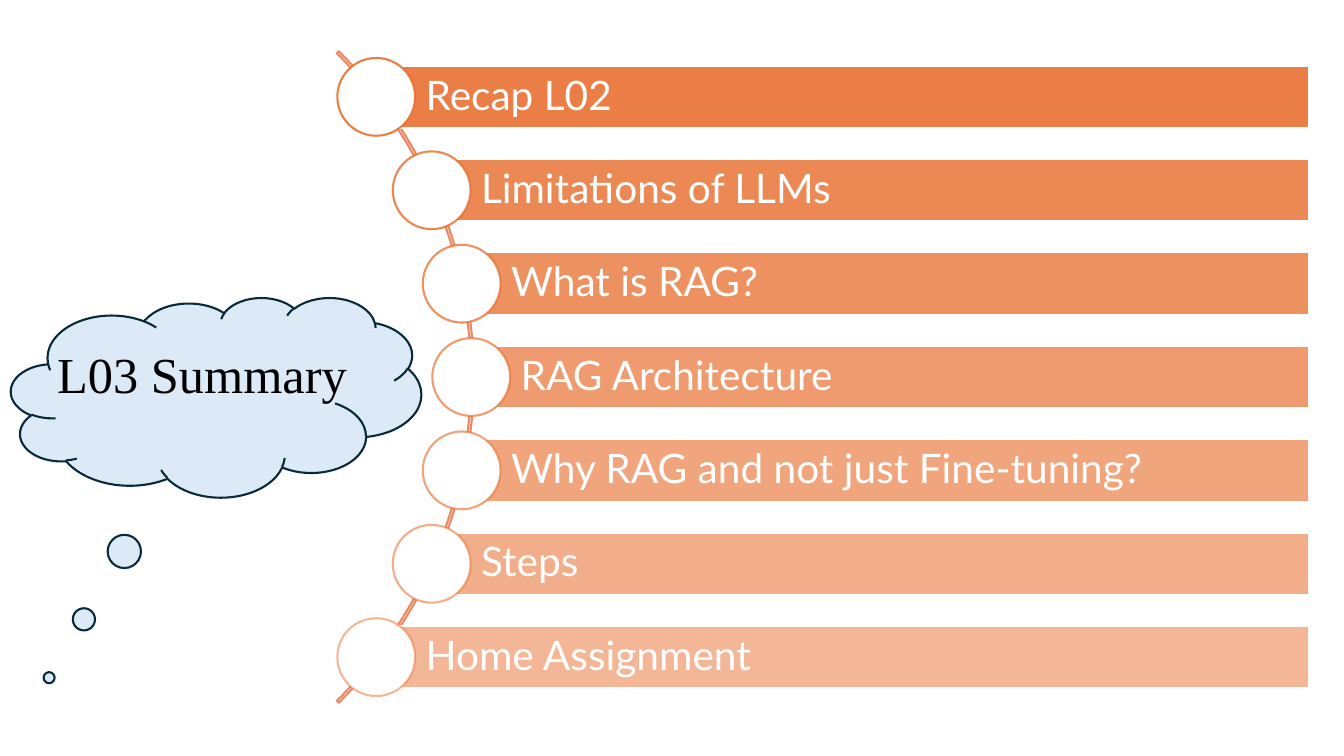
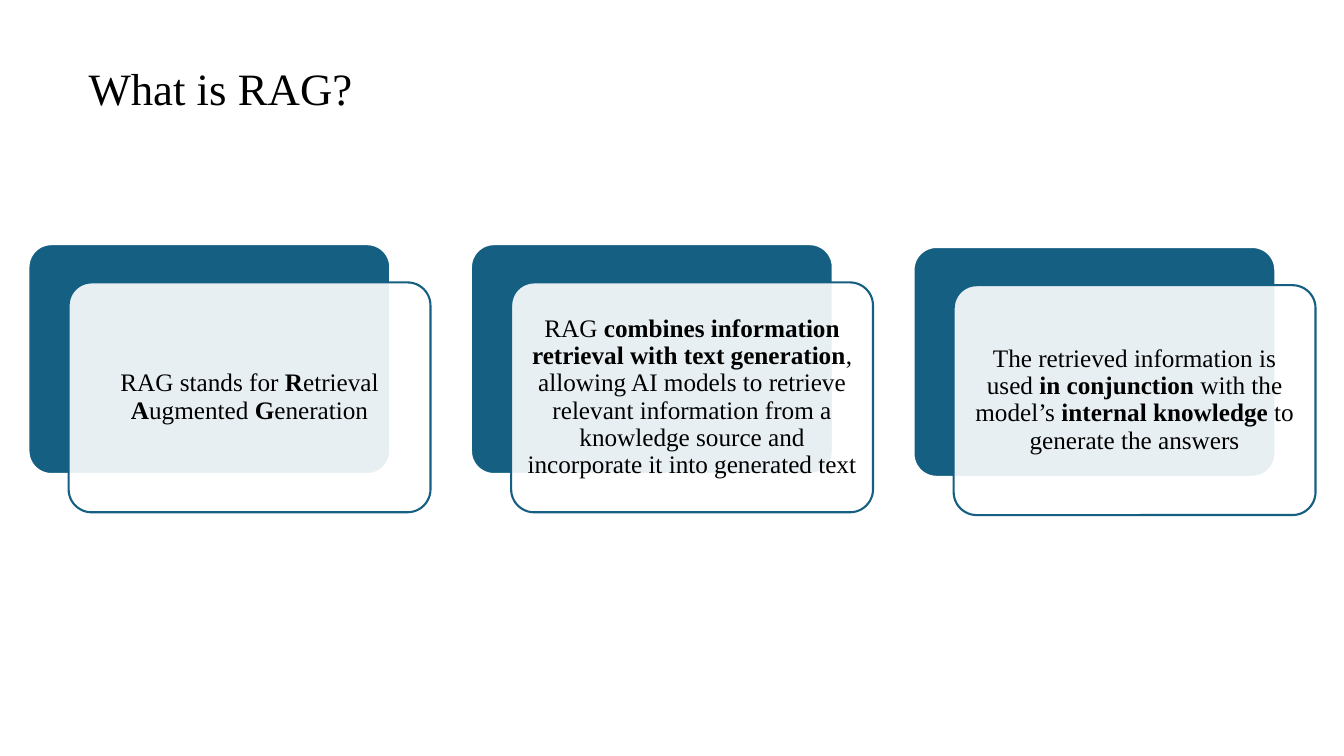
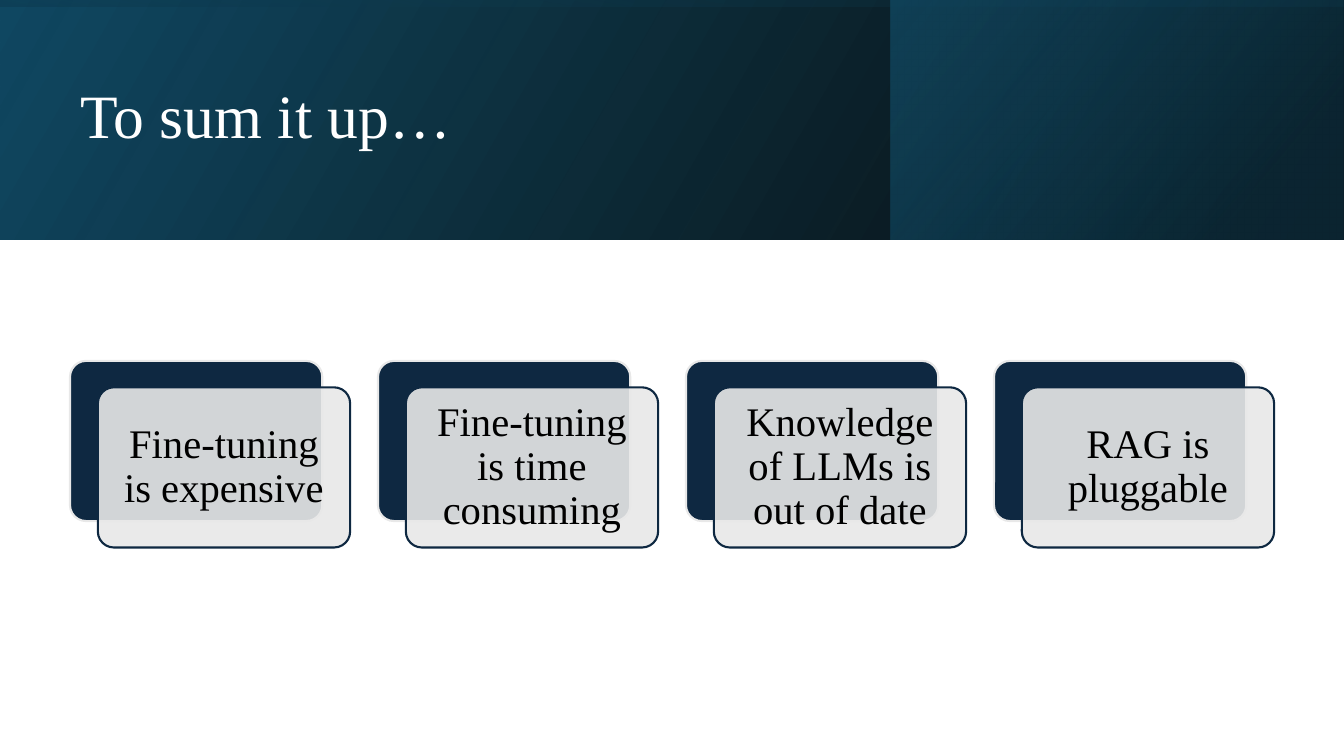
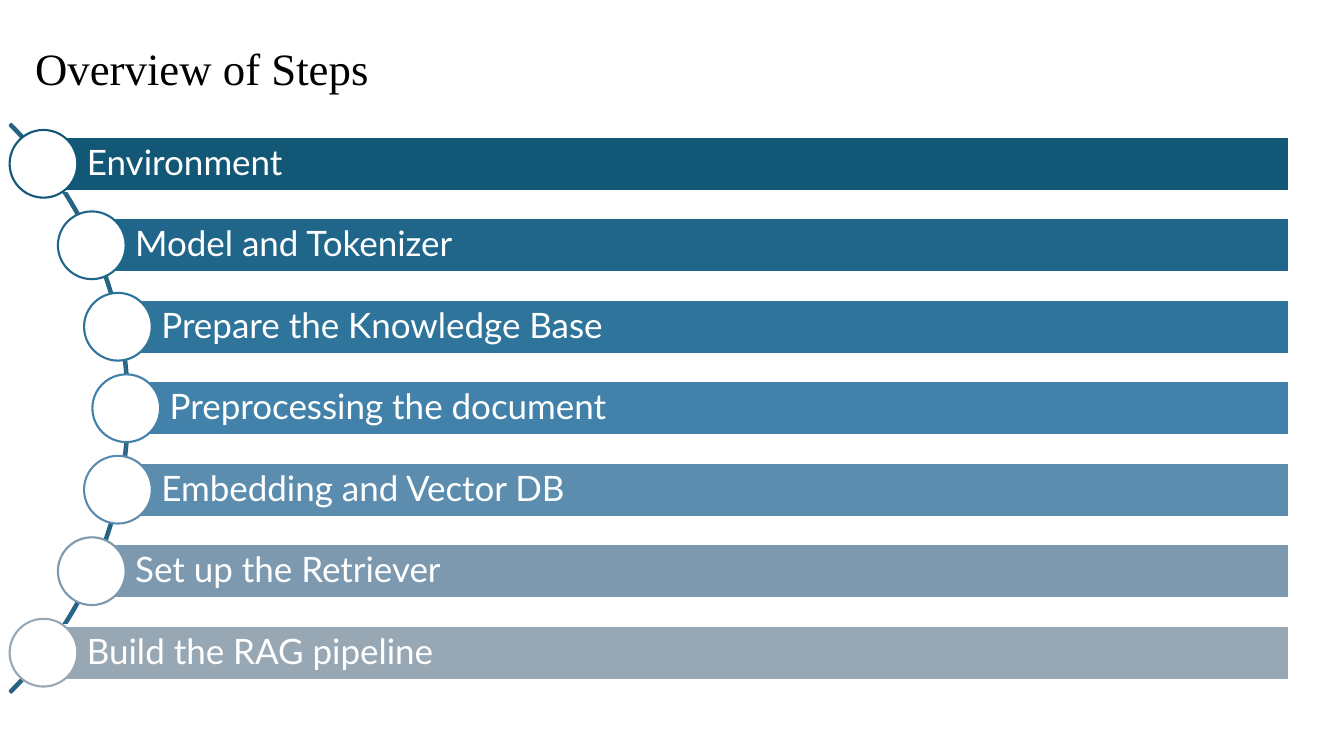
from dataclasses import dataclass
from math import sqrt

from pptx import Presentation
from pptx.dml.color import RGBColor
from pptx.enum.shapes import MSO_SHAPE
from pptx.enum.text import MSO_ANCHOR, PP_ALIGN
from pptx.oxml.ns import qn
from pptx.util import Pt

RECTANGLE = MSO_SHAPE.RECTANGLE
ROUNDED = MSO_SHAPE.ROUNDED_RECTANGLE
OVAL = MSO_SHAPE.OVAL
ARC = MSO_SHAPE.BLOCK_ARC
CLOUD = MSO_SHAPE.CLOUD_CALLOUT
TOP, MIDDLE = MSO_ANCHOR.TOP, MSO_ANCHOR.MIDDLE
LEFT, CENTER = PP_ALIGN.LEFT, PP_ALIGN.CENTER


@dataclass(frozen=True)
class Theme:
    serif: str = "Times New Roman"
    sans: str = "Lato"
    white: str = "FFFFFF"
    black: str = "000000"
    orange: str = "E97132"
    orange_arc: str = "EB8966"
    teal: str = "156082"
    teal_arc: str = "276384"
    deep_teal: str = "104862"
    dark_teal: str = "0B3041"
    navy: str = "0E2841"
    grey: str = "E8E8E8"
    cloud: str = "DCEAF7"
    cloud_line: str = "092A39"
    step_blues: tuple = ("135776", "20668A", "2F749B", "4281A9",
                         "5C8DAF", "7C99B0", "98A7B4")
    banner_size: float = 44
    summary_size: float = 36
    title_size: float = 32
    large_size: float = 29
    step_size: float = 25
    body_size: float = 18
    line_width: float = 1.5
    line_spacing: float = 0.9


THEME = Theme()


@dataclass(frozen=True)
class ArcList:
    """Sizes of a list whose rows start on a circle's right-hand arc."""
    center_x: float
    center_y: float
    radius: float
    inset: float
    step: float
    bar_right: float
    bar_height: float
    disc: float
    text_inset: float
    margin: float
    size: float


@dataclass(frozen=True)
class CardStyle:
    width: float
    height: float
    shift_x: float
    shift_y: float
    margin: float
    size: float
    back: str
    front: str


AGENDA = ArcList(9.4, 269.3, 329, 1.8, 66.7, 935.2, 44.6, 55.6, 35.3, 5.8, THEME.large_size)
STEPS = ArcList(-195.1, 291.6, 287.3, 2, 58.2, 920.6, 38.8, 48.4, 31, 5, THEME.step_size)
DEFINITION = CardStyle(258.5, 164.2, 28.7, 27.3, 5, THEME.body_size, THEME.teal, THEME.white)
SUMMARY = CardStyle(180.2, 114.4, 19.9, 18.9, 8.6, THEME.large_size, THEME.navy, THEME.grey)


def rgb(color):
    return RGBColor.from_string(color)


def set_opacity(shape, *percents):
    """Set the opacity of the shape's colours: fill first, then line."""
    colors = shape._element.spPr.iter(qn("a:srgbClr"))
    for color, percent in zip(colors, percents):
        alpha = color.makeelement(qn("a:alpha"), {"val": str(round(percent * 1000))})
        color.append(alpha)


def add_shape(slide, kind, left, top, width, height, fill=None, line=None):
    shape = slide.shapes.add_shape(kind, Pt(left), Pt(top), Pt(width), Pt(height))
    shape.shadow.inherit = False
    if fill:
        shape.fill.solid()
        shape.fill.fore_color.rgb = rgb(fill)
    else:
        shape.fill.background()
    if line:
        shape.line.color.rgb = rgb(line)
        shape.line.width = Pt(THEME.line_width)
    else:
        shape.line.fill.background()
    return shape


def write(shape, text, font, size, color, align=LEFT, anchor=MIDDLE, margins=None):
    """Fill the shape with one paragraph; words between asterisks are bold."""
    frame = shape.text_frame
    frame.word_wrap = True
    frame.vertical_anchor = anchor
    if margins:
        left, other = margins
        frame.margin_left = Pt(left)
        frame.margin_top = frame.margin_right = frame.margin_bottom = Pt(other)
    paragraph = frame.paragraphs[0]
    paragraph.alignment = align
    paragraph.line_spacing = THEME.line_spacing
    paragraph.font.name = font
    paragraph.font.size = Pt(size)
    paragraph.font.color.rgb = rgb(color)
    for index, part in enumerate(text.split("*")):
        run = paragraph.add_run()
        run.text = part
        if index % 2:
            run.font.bold = True


def add_title(slide, text, left, top, width, height, size=THEME.title_size,
              color=THEME.black, anchor=MIDDLE):
    box = slide.shapes.add_textbox(Pt(left), Pt(top), Pt(width), Pt(height))
    write(box, text, THEME.serif, size, color, anchor=anchor)


def add_arc_list(slide, layout, arc_color, rows):
    """Draw rows of (text, colour, opacity) along the arc."""
    arc = add_shape(slide, ARC, layout.center_x - layout.radius, layout.center_y - layout.radius,
                    2 * layout.radius, 2 * layout.radius, line=arc_color)
    # Raw angles are in 60000ths of a degree: from 315 to 45 degrees.
    arc.adjustments[0], arc.adjustments[1], arc.adjustments[2] = 189, 27, 0.003
    for index, (text, color, opacity) in enumerate(rows):
        offset = (index - (len(rows) - 1) / 2) * layout.step
        x = layout.center_x - layout.inset + sqrt(layout.radius ** 2 - offset ** 2)
        y = layout.center_y + offset
        bar = add_shape(slide, RECTANGLE, x, y - layout.bar_height / 2,
                        layout.bar_right - x, layout.bar_height, color, THEME.white)
        write(bar, text, THEME.sans, layout.size, THEME.white,
              margins=(layout.text_inset, layout.margin))
        disc = add_shape(slide, OVAL, x - layout.disc / 2, y - layout.disc / 2,
                         layout.disc, layout.disc, THEME.white, color)
        if opacity < 100:
            set_opacity(bar, opacity)
            set_opacity(disc, 100, opacity)


def add_card(slide, style, left, top, text):
    back = add_shape(slide, ROUNDED, left, top, style.width, style.height,
                     style.back, style.front)
    front = add_shape(slide, ROUNDED, left + style.shift_x, top + style.shift_y,
                      style.width, style.height, style.front, style.back)
    for card in (back, front):
        card.adjustments[0] = 0.1
    set_opacity(front, 90)
    write(front, text, THEME.serif, style.size, THEME.black, CENTER,
          margins=(style.margin, style.margin))


def add_gradient_band(slide, left, top, width, height, angle, stops, rotation=0):
    """Draw a mirrored band; stops are (position, colour, opacity)."""
    band = add_shape(slide, RECTANGLE, left, top, width, height)
    band.rotation = rotation
    band._element.spPr.xfrm.set("flipH", "1")
    band.fill.gradient()
    band.fill.gradient_angle = angle
    for stop, (position, color, _) in zip(band.fill.gradient_stops, stops):
        stop.position = position
        stop.color.rgb = rgb(color)
    set_opacity(band, *(opacity for _, _, opacity in stops))


def build_agenda(slide):
    cloud = add_shape(slide, CLOUD, 7.9, 212.4, 293, 142.6, THEME.cloud, THEME.cloud_line)
    cloud.adjustments[0], cloud.adjustments[1] = -0.407, 1.405
    add_title(slide, "L03 Summary", 33.8, 242.6, 260, 54, THEME.summary_size)
    topics = ("Recap L02", "Limitations of LLMs", "What is RAG?", "RAG Architecture",
              "Why RAG and not just Fine-tuning?", "Steps", "Home Assignment")
    rows = [(topic, THEME.orange, 90 - index * 40 / (len(topics) - 1))
            for index, topic in enumerate(topics)]
    add_arc_list(slide, AGENDA, THEME.orange_arc, rows)


def build_definition(slide):
    add_title(slide, "What is RAG?", 56.2, 20.2, 828, 89.3)
    cards = (
        (174.4, "RAG stands for *R*etrieval *A*ugmented *G*eneration"),
        (174.4, "RAG *combines information retrieval with text generation*, allowing AI models "
                "to retrieve relevant information from a knowledge source and incorporate it "
                "into generated text"),
        (176.4, "The retrieved information is used *in conjunction *with the model’s "
                "*internal knowledge *to generate the answers"),
    )
    for index, (top, text) in enumerate(cards):
        add_card(slide, DEFINITION, 20.3 + index * 316.1, top, text)


def build_summary(slide):
    add_gradient_band(slide, 0, 0, 960, 170.9, 30,
                      ((0, THEME.black, 96), (1, THEME.deep_teal, 100)))
    add_gradient_band(slide, 636.5, 0, 322.8, 170.9, 40,
                      ((0.19, THEME.dark_teal, 68), (1, THEME.teal, 48)))
    add_gradient_band(slide, 394.5, -394.5, 170.9, 960, 10,
                      ((0.23, THEME.deep_teal, 16), (0.99, THEME.black, 45)), rotation=270)
    add_title(slide, "To sum it up…", 50.4, 23, 765.4, 123.8, THEME.banner_size, THEME.white)
    points = ("Fine-tuning is expensive", "Fine-tuning is time consuming",
              "Knowledge of LLMs is out of date", "RAG is pluggable")
    for index, point in enumerate(points):
        add_card(slide, SUMMARY, 50 + index * 220, 257.8, point)


def build_steps(slide):
    add_title(slide, "Overview of Steps", 18, 29.5, 828, 42.5, anchor=TOP)
    steps = ("Environment", "Model and Tokenizer", "Prepare the Knowledge Base",
             "Preprocessing the document", "Embedding and Vector DB",
             "Set up the Retriever", "Build the RAG pipeline")
    rows = [(step, color, 100) for step, color in zip(steps, THEME.step_blues)]
    add_arc_list(slide, STEPS, THEME.teal_arc, rows)


def main():
    presentation = Presentation()
    presentation.slide_width = Pt(960)
    presentation.slide_height = Pt(540)
    blank = presentation.slide_layouts[6]
    for build in (build_agenda, build_definition, build_summary, build_steps):
        build(presentation.slides.add_slide(blank))
    presentation.save("out.pptx")


if __name__ == "__main__":
    main()
